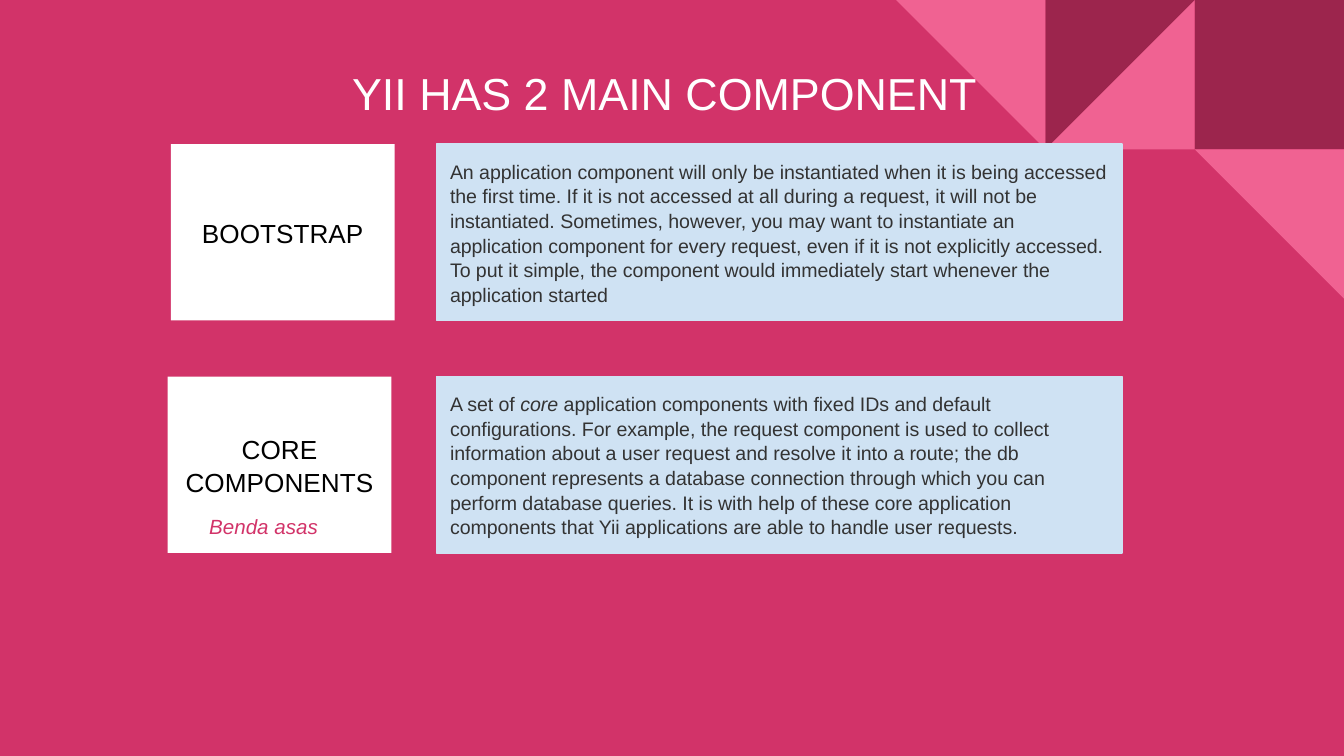
import dataclasses

import pptx
import pptx.dml.color
import pptx.enum.shapes
import pptx.enum.text
import pptx.util

Pt = pptx.util.Pt
RGB = pptx.dml.color.RGBColor
Kind = pptx.enum.shapes.MSO_SHAPE
Align = pptx.enum.text.PP_ALIGN
Anchor = pptx.enum.text.MSO_ANCHOR

ROSE = RGB(0xD2, 0x33, 0x69)
WINE = RGB(0x9C, 0x25, 0x4D)
PINK = RGB(0xF0, 0x62, 0x92)
PALE = RGB(0xCF, 0xE2, 0xF3)
GREY = RGB(0x33, 0x33, 0x33)
WHITE = RGB(0xFF, 0xFF, 0xFF)
BLACK = RGB(0, 0, 0)

TILE = 80
BOX_H = 94.5
BODY_X, BODY_W = 234, 367
LABEL_W = 120


@dataclasses.dataclass
class Tile:
    kind: int
    col: int
    row: int
    fill: RGB
    turn: int = 0


@dataclasses.dataclass
class Part:
    name: str
    left: float
    top: float
    body: list[tuple[str, bool]]  # text and whether it is italic


TILES = [
    Tile(Kind.RECTANGLE, 8, 0, WINE),
    Tile(Kind.RIGHT_TRIANGLE, 7, 0, PINK, 270),
    Tile(Kind.RIGHT_TRIANGLE, 7, 0, WINE, 90),
    Tile(Kind.RIGHT_TRIANGLE, 6, 0, PINK, 180),
    Tile(Kind.RIGHT_TRIANGLE, 8, 1, PINK, 180),
]

PARTS = [
    Part("BOOTSTRAP", 91.5, 77.25, [
        ("An application component will only be instantiated when it is being "
         "accessed the first time. If it is not accessed at all during a request, "
         "it will not be instantiated. Sometimes, however, you may want to "
         "instantiate an application component for every request, even if it is "
         "not explicitly accessed. To put it simple, the component would "
         "immediately start whenever the application started", False),
    ]),
    Part("CORE COMPONENTS", 89.75, 201.75, [
        ("A set of ", False),
        ("core", True),
        (" application components with fixed IDs and default configurations. For "
         "example, the request component is used to collect information about a "
         "user request and resolve it into a route; the db component represents a "
         "database connection through which you can perform database queries. It "
         "is with help of these core application components that Yii applications "
         "are able to handle user requests.", False),
    ]),
]


def write(shape, runs: list[tuple[str, bool]], *, size: float, color: RGB,
          align=Align.LEFT, anchor=Anchor.TOP, inset=(7.2, 7.2),
          space: float = 1.0) -> None:
    """Fill a shape with one paragraph of formatted runs."""
    frame = shape.text_frame
    frame.word_wrap = True
    frame.auto_size = pptx.enum.text.MSO_AUTO_SIZE.NONE
    frame.vertical_anchor = anchor
    frame.margin_left = frame.margin_right = Pt(inset[0])
    frame.margin_top = frame.margin_bottom = Pt(inset[1])
    para = frame.paragraphs[0]
    para.alignment = align
    para.line_spacing = space
    for text, slant in runs:
        run = para.add_run()
        run.text = text
        run.font.name = "Arial"
        run.font.size = Pt(size)
        run.font.italic = slant
        run.font.color.rgb = color


def draw(slide, kind: int, left: float, top: float, width: float,
         height: float, fill: RGB, line: RGB | None = None):
    """Add a flat preset shape, outlined only if a line colour is given."""
    shape = slide.shapes.add_shape(kind, Pt(left), Pt(top), Pt(width), Pt(height))
    shape.shadow.inherit = False
    shape.fill.solid()
    shape.fill.fore_color.rgb = fill
    if line is None:
        shape.line.fill.background()
    else:
        shape.line.color.rgb = line
        shape.line.width = Pt(0.75)
    return shape


def add_tile(slide, tile: Tile) -> None:
    shape = draw(slide, tile.kind, tile.col * TILE, tile.row * TILE,
                 TILE, TILE, tile.fill)
    shape.rotation = tile.turn


def add_part(slide, part: Part) -> None:
    label = draw(slide, Kind.RECTANGLE, part.left, part.top, LABEL_W, BOX_H, WHITE)
    write(label, [(part.name, False)], size=14, color=BLACK,
          align=Align.CENTER, anchor=Anchor.MIDDLE, space=1.05)
    body = draw(slide, Kind.RECTANGLE, BODY_X, part.top, BODY_W, BOX_H, PALE, PALE)
    write(body, part.body, size=10.5, color=GREY,
          anchor=Anchor.MIDDLE, space=1.05)


def main() -> None:
    deck = pptx.Presentation()
    deck.slide_width, deck.slide_height = Pt(720), Pt(405)
    slide = deck.slides.add_slide(deck.slide_layouts[5])
    slide.background.fill.solid()
    slide.background.fill.fore_color.rgb = ROSE

    # Corner pattern
    for tile in TILES:
        add_tile(slide, tile)

    # Title, brought in front of the pattern
    title = slide.shapes.title
    title.left, title.top = Pt(145.5), Pt(28)
    title.width, title.height = Pt(421), Pt(37)
    write(title, [("YII HAS 2 MAIN COMPONENT", False)], size=24, color=WHITE,
          align=Align.CENTER)
    slide.shapes._spTree.append(title._element)

    # The two components
    for part in PARTS:
        add_part(slide, part)

    # Note on the second label
    note = slide.shapes.add_textbox(Pt(105), Pt(272), Pt(104.5), Pt(21))
    write(note, [("Benda asas", True)], size=11, color=ROSE, inset=(7.2, 3.6))

    deck.save("out.pptx")


if __name__ == "__main__":
    main()
